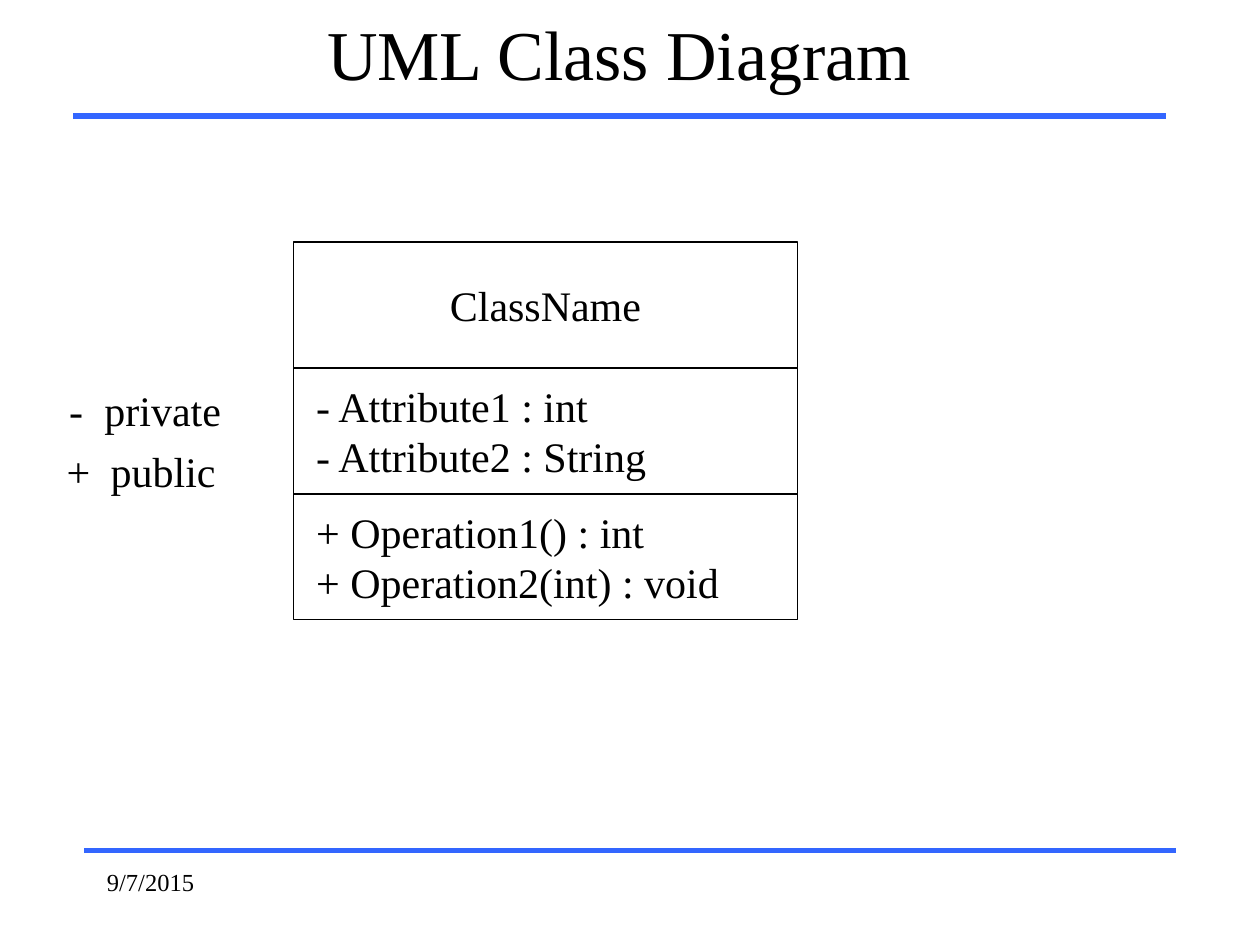
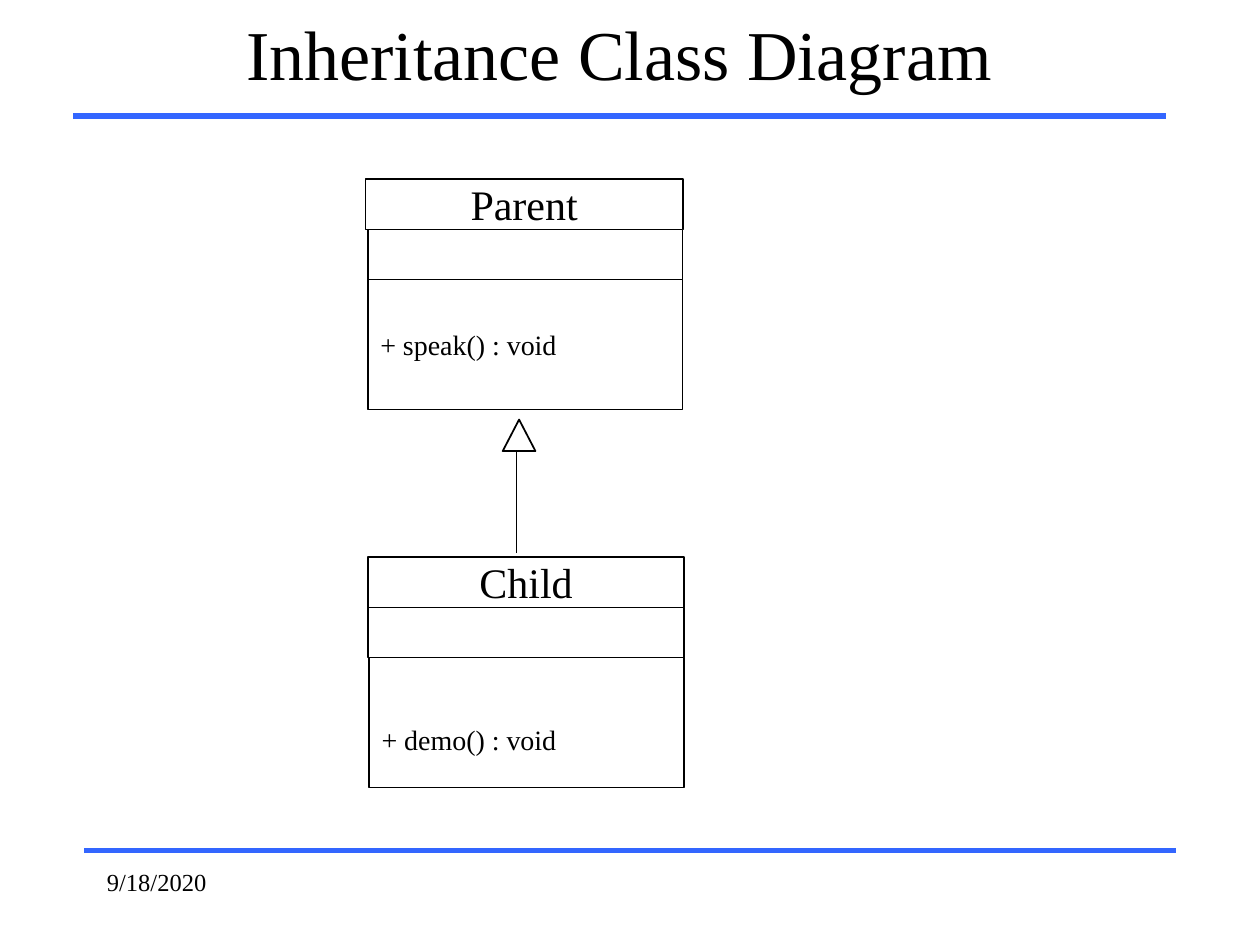
from dataclasses import dataclass

from lxml.etree import SubElement
from pptx import Presentation
from pptx.dml.color import RGBColor
from pptx.enum.shapes import MSO_CONNECTOR, MSO_SHAPE
from pptx.enum.text import MSO_ANCHOR, PP_ALIGN
from pptx.oxml import parse_xml
from pptx.oxml.ns import nsdecls, qn
from pptx.util import Inches, Pt

COLORS = {"ink": "000000", "paper": "FFFFFF", "rule": "3366FF"}
FONT = "Times New Roman"


@dataclass
class Compartment:
    """One row of a class box; inset moves its left edge inwards."""
    height: float
    lines: tuple = ()
    size: int = 24
    align: PP_ALIGN = PP_ALIGN.LEFT
    inset: float = 0
    margin_left: float = 0.1
    margin_top: float = 0.05


def rgb(name):
    """Return a named colour."""
    return RGBColor.from_string(COLORS[name])


def write(tf, lines, size, align=PP_ALIGN.LEFT, anchor=MSO_ANCHOR.MIDDLE):
    """Fill a text frame with one paragraph per line."""
    tf.word_wrap = True
    tf.vertical_anchor = anchor
    for i, line in enumerate(lines):
        p = tf.add_paragraph() if i else tf.paragraphs[0]
        p.text = line
        p.alignment = align
        p.font.name = FONT
        p.font.size = Pt(size)
        p.font.color.rgb = rgb("ink")


def add_text(slide, left, top, width, height, text, size, **style):
    """Add a one-line text box and return its text frame."""
    box = slide.shapes.add_textbox(Inches(left), Inches(top), Inches(width), Inches(height))
    write(box.text_frame, [text], size, **style)
    return box.text_frame


def add_line(slide, x1, y1, x2, y2, color, weight):
    """Draw a straight line without a shadow."""
    line = slide.shapes.add_connector(
        MSO_CONNECTOR.STRAIGHT, Inches(x1), Inches(y1), Inches(x2), Inches(y2))
    line.line.color.rgb = rgb(color)
    line.line.width = Pt(weight)
    SubElement(line._element.spPr, qn("a:effectLst"))


def add_outlined(slide, kind, left, top, width, height, weight=0.75):
    """Add a white shape with a black outline."""
    sp = slide.shapes.add_shape(kind, Inches(left), Inches(top), Inches(width), Inches(height))
    sp.shadow.inherit = False
    sp.fill.solid()
    sp.fill.fore_color.rgb = rgb("paper")
    sp.line.color.rgb = rgb("ink")
    sp.line.width = Pt(weight)
    return sp


def add_class_box(slide, left, top, width, compartments):
    """Stack the compartments of a UML class downwards from the top."""
    for c in compartments:
        sp = add_outlined(slide, MSO_SHAPE.RECTANGLE,
                          left + c.inset, top, width - c.inset, c.height)
        if c.lines:
            tf = sp.text_frame
            write(tf, c.lines, c.size, c.align)
            tf.margin_left = Inches(c.margin_left)
            tf.margin_top = Inches(c.margin_top)
        top += c.height


def add_legend_entry(slide, left, top, symbol, meaning, tab):
    """Place a visibility symbol and its meaning at a tab stop."""
    tf = add_text(slide, left, top, 1.42, 0.51, f"{symbol}\t{meaning}", 24,
                  anchor=MSO_ANCHOR.TOP)
    tf.margin_right = 0
    tabs = parse_xml(f'<a:tabLst {nsdecls("a")}><a:tab pos="{Inches(tab)}" algn="l"/></a:tabLst>')
    tf.paragraphs[0]._p.get_or_add_pPr().insert(0, tabs)


def add_inheritance_arrow(slide, left, top, width, height):
    """Draw a hollow triangle on a stem that fills the given box."""
    head_height = 0.25
    stem = left + 0.11
    add_line(slide, stem, top + height, stem, top + 0.14, "ink", 0.5)
    add_outlined(slide, MSO_SHAPE.ISOSCELES_TRIANGLE, left, top, width, head_height, weight=1)


def add_base_slide(prs, title, date):
    """Start a slide with title, two rules and date."""
    slide = prs.slides.add_slide(prs.slide_layouts[6])
    add_line(slide, 0.67, 6.75, 9.33, 6.75, "rule", 3)
    add_line(slide, 0.58, 0.92, 9.25, 0.92, "rule", 3)
    add_text(slide, 0.58, 0, 8.67, 0.83, title, 40, align=PP_ALIGN.CENTER)
    add_text(slide, 0.75, 6.83, 2.08, 0.5, date, 14, anchor=MSO_ANCHOR.TOP)
    return slide


def build_class_slide(prs):
    """Show the parts of a class and the visibility symbols."""
    slide = add_base_slide(prs, "UML Class Diagram", "9/7/2015")
    add_class_box(slide, 2.33, 1.92, 4, [
        Compartment(1, ("ClassName",), align=PP_ALIGN.CENTER),
        Compartment(1, ("- Attribute1 : int", "- Attribute2 : String"), margin_left=0.18),
        Compartment(1, ("+ Operation1() : int", "+ Operation2(int) : void"), margin_left=0.18),
    ])
    add_legend_entry(slide, 0.45, 3, "-", "private", 0.28)
    add_legend_entry(slide, 0.43, 3.49, "+", "public", 0.35)


def build_inheritance_slide(prs):
    """Show a child class that inherits from its parent."""
    slide = add_base_slide(prs, "Inheritance Class Diagram", "9/18/2020")
    add_class_box(slide, 2.92, 4.42, 2.51, [
        Compartment(0.4, ("Child",), align=PP_ALIGN.CENTER),
        Compartment(0.4),
        Compartment(1.03, ("+ demo() : void",), size=16, inset=0.01, margin_top=0.31),
    ])
    add_class_box(slide, 2.9, 1.42, 2.52, [
        Compartment(0.4, ("Parent",), align=PP_ALIGN.CENTER),
        Compartment(0.4, inset=0.02),
        Compartment(1.03, ("+ speak() : void",), size=16, inset=0.02),
    ])
    add_inheritance_arrow(slide, 3.99, 3.33, 0.26, 1.06)


prs = Presentation()
prs.slide_width, prs.slide_height = Inches(10), Inches(7.5)
build_class_slide(prs)
build_inheritance_slide(prs)
prs.save("out.pptx")
